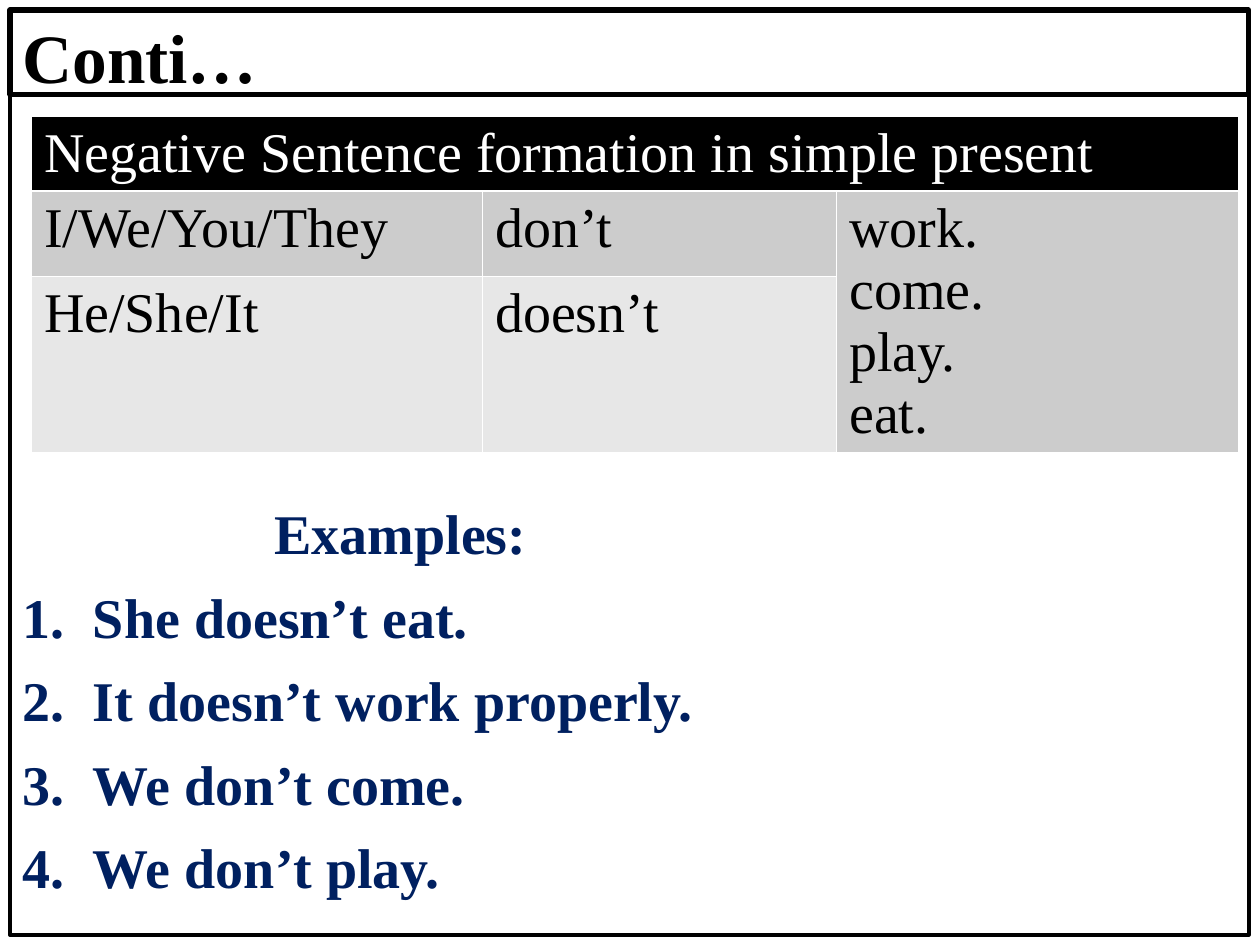
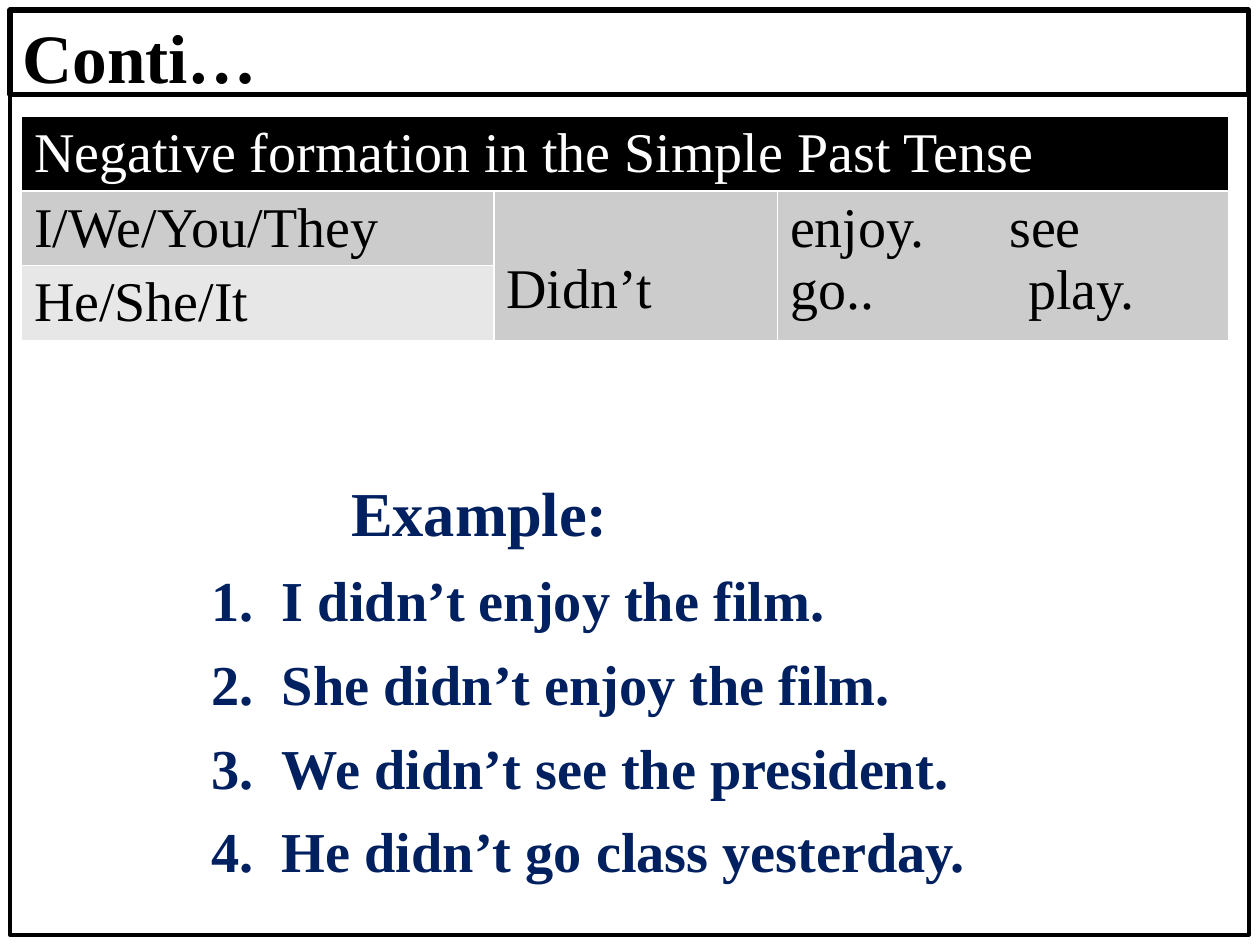
from dataclasses import dataclass

from lxml import etree
from pptx import Presentation
from pptx import util as u
from pptx.dml.color import RGBColor
from pptx.enum import shapes, text
from pptx.oxml.ns import qn

COLORS = {
    "black": "000000",
    "white": "FFFFFF",
    "navy": "002060",
    "dark_row": "CCCCCC",
    "light_row": "E7E7E7",
}
FONT = "Times New Roman"
CELL_SIZE = 32
LINE_GAP = 9.3


@dataclass
class Cell:
    row: int
    col: int
    lines: list[str]
    fill: str = "dark_row"
    color: str = "black"
    rows: int = 1
    cols: int = 1
    top: float = 0.05
    tabs: tuple[float, ...] = ()  # one tab stop per line


@dataclass
class Grid:
    left: float
    widths: list[float]
    heights: list[float]
    cells: list[Cell]


@dataclass
class Examples:
    heading: str
    heading_size: float
    heading_indent: float
    top: float
    items: list[str]
    size: float
    indent: float


def rgb(name: str) -> RGBColor:
    return RGBColor.from_string(COLORS[name])


def write(tf, line: str, *, first=False, size=CELL_SIZE, color="black", bold=False,
          gap=0.0, indent=0.0, hanging=0.0, numbered=False, tab=None) -> None:
    """Write one paragraph with its format."""
    p = tf.paragraphs[0] if first else tf.add_paragraph()
    p.alignment = text.PP_ALIGN.LEFT
    if gap and not first:
        p.space_before = u.Pt(gap)
    pPr = p._p.get_or_add_pPr()
    if indent:
        pPr.set("marL", str(u.Inches(indent)))
        pPr.set("indent", str(u.Inches(-hanging)))
    if numbered:
        etree.SubElement(pPr, qn("a:buFont"), typeface="+mj-lt")
        etree.SubElement(pPr, qn("a:buAutoNum"), type="arabicPeriod")
    if tab:
        stops = etree.SubElement(pPr, qn("a:tabLst"))
        etree.SubElement(stops, qn("a:tab"), pos=str(u.Inches(tab)), algn="l")
    r = p.add_run()
    r.text = line
    r.font.name, r.font.size, r.font.bold = FONT, u.Pt(size), bold
    r.font.color.rgb = rgb(color)


def add_frame(slide, top: float, height: float, line_width: float,
              inset_top: float, inset_bottom: float, anchor):
    """Add an outlined box across the slide and return its text frame."""
    sp = slide.shapes.add_shape(shapes.MSO_SHAPE.RECTANGLE, u.Inches(0.08),
                                u.Inches(top), u.Inches(9.83), u.Inches(height))
    sp.shadow.inherit = False
    sp.fill.background()
    sp.line.color.rgb = rgb("black")
    sp.line.width = u.Pt(line_width)
    tf = sp.text_frame
    tf.word_wrap = True
    tf.vertical_anchor = anchor
    tf.margin_top, tf.margin_bottom = u.Inches(inset_top), u.Inches(inset_bottom)
    return tf


def add_borders(cell) -> None:
    tcPr = cell._tc.get_or_add_tcPr()
    for i, side in enumerate(("lnL", "lnR", "lnT", "lnB")):
        ln = etree.Element(qn(f"a:{side}"), w=str(u.Pt(1)))
        fill = etree.SubElement(ln, qn("a:solidFill"))
        etree.SubElement(fill, qn("a:srgbClr"), val=COLORS["white"])
        tcPr.insert(i, ln)


def add_grid(slide, grid: Grid) -> None:
    table = slide.shapes.add_table(
        len(grid.heights), len(grid.widths), u.Inches(grid.left), u.Inches(0.92),
        u.Inches(sum(grid.widths)), u.Inches(sum(grid.heights))).table
    for column, width in zip(table.columns, grid.widths):
        column.width = u.Inches(width)
    for row, height in zip(table.rows, grid.heights):
        row.height = u.Inches(height)
    for c in grid.cells:
        cell = table.cell(c.row, c.col)
        last = table.cell(c.row + c.rows - 1, c.col + c.cols - 1)
        if cell is not last and c.rows * c.cols > 1:
            cell.merge(last)
        for row in range(c.row, c.row + c.rows):
            for col in range(c.col, c.col + c.cols):
                part = table.cell(row, col)
                part.fill.solid()
                part.fill.fore_color.rgb = rgb(c.fill)
                add_borders(part)
        cell.margin_top = u.Inches(c.top)
        for i, line in enumerate(c.lines):
            write(cell.text_frame, line, first=i == 0, color=c.color,
                  tab=c.tabs[i] if c.tabs else None)


def add_slide(prs, grid: Grid, examples: Examples) -> None:
    slide = prs.slides.add_slide(prs.slide_layouts[6])
    # Title band
    tf = add_frame(slide, 0.08, 0.67, 3, 0.05, 0, text.MSO_ANCHOR.MIDDLE)
    write(tf, "Conti…", first=True, size=39.6, bold=True)
    # Body frame with the examples
    tf = add_frame(slide, 0.75, 6.67, 2.25, examples.top, 0.05, text.MSO_ANCHOR.TOP)
    write(tf, examples.heading, first=True, size=examples.heading_size, color="navy",
          bold=True, indent=examples.heading_indent)
    for item in examples.items:
        write(tf, item, size=examples.size, color="navy", bold=True, gap=LINE_GAP,
              indent=examples.indent, hanging=0.56, numbered=True)
    # Sentence pattern table
    add_grid(slide, grid)


def header(title: str) -> Cell:
    return Cell(0, 0, [title], fill="black", color="white", cols=3)


SUBJECTS = [
    Cell(1, 0, ["I/We/You/They"]),
    Cell(2, 0, ["He/She/It"], fill="light_row"),
]

PRESENT = Grid(0.25, [3.58, 2.81, 3.19], [0.59, 0.68, 1.39], [
    header("Negative Sentence formation in simple present"),
    *SUBJECTS,
    Cell(1, 1, ["don’t"]),
    Cell(2, 1, ["doesn’t"], fill="light_row"),
    Cell(1, 2, ["work.", "come.", "play.", "eat."], rows=2),
])
PRESENT_EXAMPLES = Examples("Examples:", 32, 2.0, 3.21, [
    "She doesn’t eat.",
    "It doesn’t work properly.",
    "We don’t come.",
    "We don’t play.",
], 32, 0.56)

PAST = Grid(0.17, [3.75, 2.25, 3.58], [0.59] * 3, [
    header("Negative formation in the Simple Past Tense"),
    *SUBJECTS,
    Cell(1, 1, ["Didn’t"], rows=2, top=0.54),
    Cell(1, 2, ["enjoy.\tsee", "go..\tplay."], rows=2, tabs=(1.74, 1.89)),
])
PAST_EXAMPLES = Examples("Example:", 35.7, 2.61, 3.01, [
    "I didn’t enjoy the film.",
    "She didn’t enjoy the film.",
    "We didn’t see the president.",
    "He didn’t go class yesterday.",
], 32.2, 2.06)


def main() -> None:
    prs = Presentation()
    prs.slide_width, prs.slide_height = u.Inches(10), u.Inches(7.5)
    add_slide(prs, PRESENT, PRESENT_EXAMPLES)
    add_slide(prs, PAST, PAST_EXAMPLES)
    prs.save("out.pptx")


if __name__ == "__main__":
    main()
